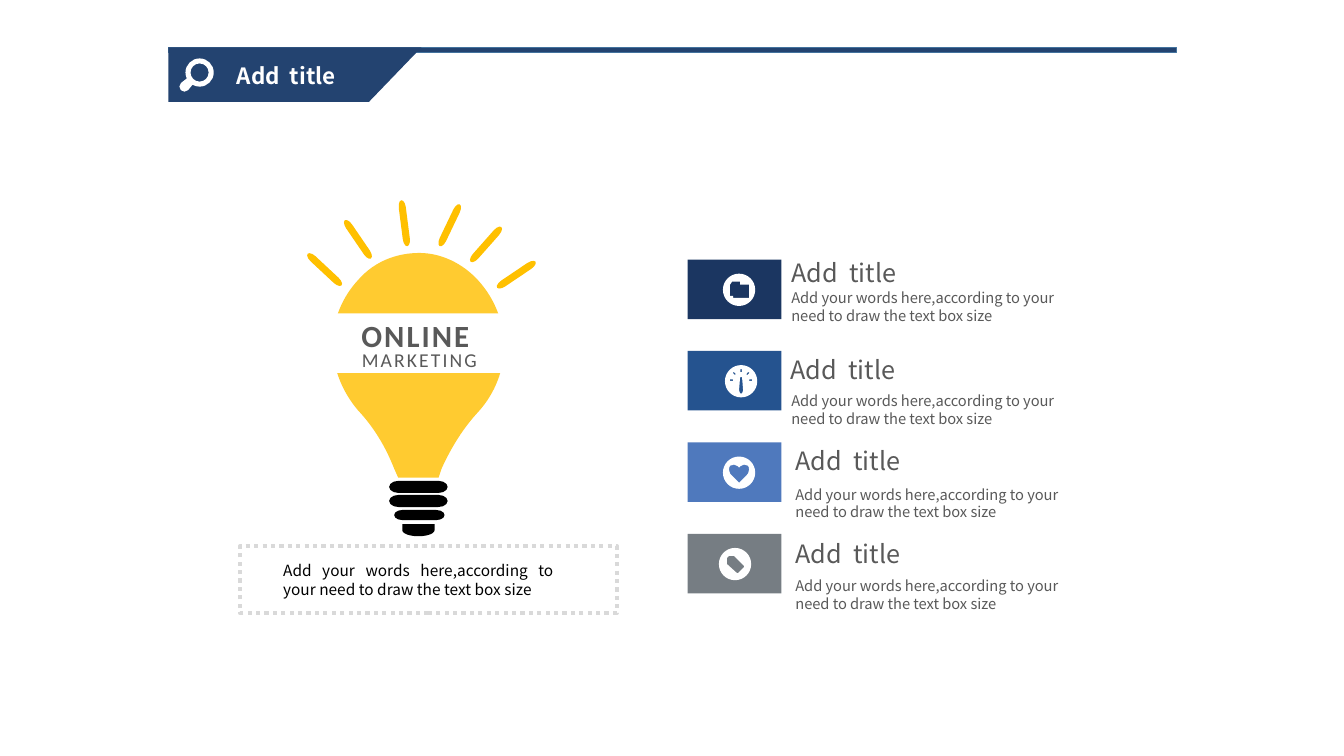
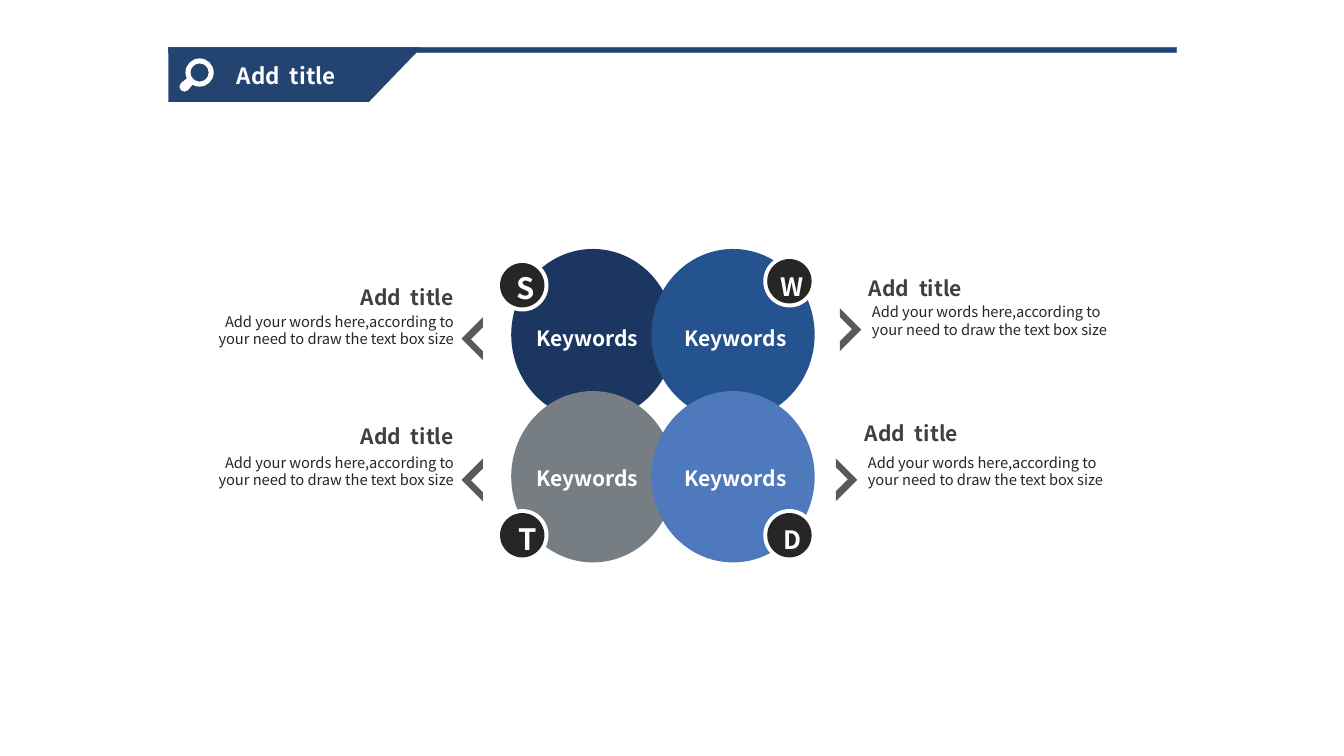
import math

import lxml.etree
import pptx
import pptx.dml.color
import pptx.enum.dml
import pptx.enum.shapes
import pptx.enum.text
import pptx.oxml.ns
import pptx.util

Inches = pptx.util.Inches
qn = pptx.oxml.ns.qn
SHAPE = pptx.enum.shapes.MSO_SHAPE
ALIGN = pptx.enum.text.PP_ALIGN
COLORS = {
    "banner": "234370", "banner_edge": "43739E", "navy": "1B3661",
    "blue": "25538F", "sky": "4F79BD", "gray": "767D83", "amber": "FFC000",
    "white": "FFFFFF", "black": "000000", "ink": "262626", "title": "404040",
    "soft": "595959", "dash": "D9D9D9",
}
SANS, LATIN = "Noto Sans CJK SC", "Calibri"
TITLE = "Add  title"
WORDS = "Add your words here,according to your need to draw the text box size"


def rgb(name):
    return pptx.dml.color.RGBColor.from_string(COLORS[name])


def paint(shape, fill, line=None, width=1):
    shape.shadow.inherit = False
    if fill:
        shape.fill.solid()
        shape.fill.fore_color.rgb = rgb(fill)
    else:
        shape.fill.background()
    if line:
        shape.line.color.rgb = rgb(line)
        shape.line.width = pptx.util.Pt(width)
    else:
        shape.line.fill.background()
    return shape


def add_shape(slide, kind, box, fill, line=None, width=1, rotation=0):
    shape = slide.shapes.add_shape(kind, *map(Inches, box))
    shape.rotation = rotation
    return paint(shape, fill, line, width)


def add_text(slide, text, box, size, color, align=ALIGN.LEFT, bold=False,
             font=SANS, tracking=0):
    frame = slide.shapes.add_textbox(*map(Inches, box)).text_frame
    frame.word_wrap = True
    frame.auto_size = pptx.enum.text.MSO_AUTO_SIZE.SHAPE_TO_FIT_TEXT
    paragraph = frame.paragraphs[0]
    paragraph.alignment = align
    run = paragraph.add_run()
    run.text = text
    style = {"name": font, "size": pptx.util.Pt(size), "bold": bold}
    for key, value in style.items():
        setattr(run.font, key, value)
    run.font.color.rgb = rgb(color)
    properties = run._r.get_or_add_rPr()
    if tracking:
        properties.set("spc", str(int(tracking * 100)))
    lxml.etree.SubElement(properties, qn("a:ea")).set("typeface", font)


def arc(x, y, radius, start=0, end=360):
    """A start point and cubic curves along an arc, split at right angles."""
    stops = [start] + [a for a in range(0, end, 90) if a > start] + [end]
    segments = [(x + radius * math.cos(math.radians(start)),
                 y + radius * math.sin(math.radians(start)))]
    for first, last in zip(stops, stops[1:]):
        a, b = math.radians(first), math.radians(last)
        pull = radius * 4 / 3 * math.tan((b - a) / 4)
        x0, y0 = segments[-1][-2:]
        x1, y1 = x + radius * math.cos(b), y + radius * math.sin(b)
        segments.append((x0 - pull * math.sin(a), y0 + pull * math.cos(a),
                         x1 + pull * math.sin(b), y1 - pull * math.cos(b), x1, y1))
    return segments


def add_outline(slide, contours, origin, fill):
    """One freeform of lines (2 numbers) and cubic curves (6 numbers).

    Inner contours become holes.
    """
    left, top = origin
    builder = None
    for contour in contours:
        points = [(Inches(left + segment[i]), Inches(top + segment[i + 1]))
                  for segment in contour for i in range(0, len(segment), 2)]
        if builder is None:
            builder = slide.shapes.build_freeform(*points[0])
        else:
            builder.move_to(*points[0])
        builder.add_line_segments(points[1:], close=True)
    shape = builder.convert_to_shape()
    # Join each three control points into one curve
    steps = iter(list(shape._element.iter(qn("a:lnTo"))))
    for segment in (s for contour in contours for s in contour[1:]):
        step = next(steps)
        if len(segment) == 6:
            step.tag_curve = None
            bezier = lxml.etree.Element(qn("a:cubicBezTo"))
            step.addprevious(bezier)
            for part in (step, next(steps), next(steps)):
                bezier.append(part[0])
                part.getparent().remove(part)
    return paint(shape, fill)


# Glyphs, in inches from the icon centre
FOLDER = [[(0.1, 0.08), (-0.06, 0.08), (-0.06, 0.06), (-0.09, 0.06),
           (-0.09, -0.05), (-0.07, -0.08), (0.01, -0.08), (0.01, -0.05),
           (0.1, -0.05)]]
NEEDLE = [(-0.01, -0.04), (0.01, -0.04), (0.02, 0.09), (0.01, 0.12),
          (-0.01, 0.12), (-0.02, 0.09)]
GAUGE = [NEEDLE] + [
    [(r * math.cos(math.radians(a)), r * math.sin(math.radians(a)) - 0.01)
     for r, a in ((0.08, mid - 5), (0.08, mid + 5), (0.11, mid + 4), (0.11, mid - 4))]
    for mid in range(180, 361, 45)]
HEART = [[(0, 0.1), (-0.08, 0.02), (-0.08, 0.02, -0.1, 0, -0.1, -0.03),
          (-0.1, -0.07, -0.08, -0.08, -0.05, -0.08),
          (-0.02, -0.08, 0, -0.05, 0, -0.05),
          (0, -0.05, 0.02, -0.08, 0.05, -0.08),
          (0.08, -0.08, 0.1, -0.07, 0.1, -0.03),
          (0.1, 0, 0.08, 0.02, 0.08, 0.02)]]
TAG = [[(0.09, 0.03), (0.03, 0.09), (0.02, 0.09), (-0.08, 0), (-0.08, -0.06),
        (-0.06, -0.08), (-0.01, -0.08), (0.09, 0.02)]]


def add_header(slide, left, top):
    # Rule and slanted tab
    add_shape(slide, SHAPE.RECTANGLE, (left, top, 10, 0.05), "banner", "banner_edge")
    tab = [(0, 0), (2.51, 0), (1.99, 0.54), (0, 0.54)]
    add_outline(slide, [tab], (left, top), "banner")
    # Magnifier: lens edge, rounded handle, hole
    lens = arc(0.31, 0.25, 0.14, 155, 480) + arc(0.16, 0.39, 0.05, 45, 225)
    add_outline(slide, [lens, arc(0.31, 0.25, 0.09)], (left, top), "white")
    add_text(slide, TITLE, (left + 0.58, top + 0.1, 1.35, 0.37), 16, "white",
             ALIGN.JUSTIFY, bold=True)


def add_bulb(slide, left, top):
    # Screw base
    for x, y, width, height in ((0.92, 2.88, 0.5, 0.1), (0.87, 2.73, 0.58, 0.12),
                                (0.87, 2.59, 0.58, 0.12)):
        add_shape(slide, SHAPE.FLOWCHART_TERMINATOR,
                  (left + x, top + y, width, height), "black")
    add_shape(slide, SHAPE.FLOWCHART_DELAY, (left + 1.1, top + 2.92, 0.12, 0.32),
              "black", rotation=90)
    # Glass
    glass = [(1.17, 0.33), (1.38, 0.33, 1.6, 0.43, 1.76, 0.61),
             (1.92, 0.79, 2.01, 1.02, 2.01, 1.26),
             (2.01, 1.49, 1.92, 1.72, 1.76, 1.9),
             (1.61, 2.06, 1.49, 2.25, 1.39, 2.47), (1.36, 2.56),
             (0.96, 2.56), (0.92, 2.47),
             (0.83, 2.24, 0.71, 2.05, 0.56, 1.89),
             (0.4, 1.7, 0.31, 1.47, 0.31, 1.23),
             (0.31, 1, 0.4, 0.77, 0.57, 0.59),
             (0.73, 0.41, 0.95, 0.33, 1.17, 0.33)]
    bulb = add_outline(slide, [glass], (left, top), "amber")
    color = bulb._element.spPr.find(".//" + qn("a:srgbClr"))
    lxml.etree.SubElement(color, qn("a:alpha")).set("val", "81000")
    # Label across the glass
    add_shape(slide, SHAPE.RECTANGLE, (left + 0.09, top + 0.93, 2.16, 0.59), "white")
    add_text(slide, "ONLINE ", (left + 0.37, top + 0.91, 1.61, 0.47), 22, "soft",
             ALIGN.CENTER, True, LATIN, 1.5)
    add_text(slide, "MARKETING", (left + 0.34, top + 1.22, 1.66, 0.34), 14, "soft",
             ALIGN.CENTER, False, LATIN, 1.5)
    # Rays
    for x, y, angle in ((0, 0.46, 43), (0.33, 0.16, 55.7), (0.79, 0, 82.7),
                        (1.24, 0.02, 115.6), (1.6, 0.21, 131.5), (1.9, 0.51, 146)):
        add_shape(slide, SHAPE.FLOWCHART_TERMINATOR,
                  (left + x, top + y, 0.46, 0.07), "amber", rotation=angle)


def add_caption(slide, left, top):
    frame = add_shape(slide, SHAPE.RECTANGLE, (left, top, 3.74, 0.66), None, "dash", 3)
    frame.line.dash_style = pptx.enum.dml.MSO_LINE.ROUND_DOT
    add_text(slide, WORDS, (left + 0.33, top + 0.1, 2.88, 0.47), 11, "black",
             ALIGN.JUSTIFY)


def add_item(slide, left, top, color, glyph, icon_x, title_x, title_y, words_x, words_y):
    add_shape(slide, SHAPE.RECTANGLE, (left, top, 0.93, 0.59), color)
    add_outline(slide, [arc(0, 0, 0.16)] + glyph, (left + icon_x, top + 0.3), "white")
    add_text(slide, TITLE, (left + title_x, top + title_y, 1.54, 0.4), 18, "soft")
    add_text(slide, WORDS, (left + words_x, top + words_y, 2.88, 0.45), 10.5, "soft")


def add_circle(slide, left, top, color, label_x, label_y):
    add_shape(slide, SHAPE.OVAL, (left, top, 1.62, 1.7), color)
    return left + label_x, top + label_y


def add_badge(slide, left, top, letter, size, dx, dy):
    for inset, color in ((0, "white"), (0.04, "ink")):
        side = 0.52 - 2 * inset
        add_shape(slide, SHAPE.OVAL, (left + inset, top + inset, side, side), color)
    add_text(slide, letter, (left + dx, top + dy, 0.28, 0.45), size, "white", bold=True)


def add_note(slide, left, top, on_left, title_x, title_y):
    """Chevron at (left, top), with its text on the outer side."""
    chevron = add_shape(slide, SHAPE.HALF_FRAME, (left, top, 0.3, 0.3), "soft",
                        rotation=315 if on_left else 135)
    chevron.adjustments[0], chevron.adjustments[1] = 0.233, 0.207
    words_x, align = (-2.75, ALIGN.RIGHT) if on_left else (0.37, ALIGN.LEFT)
    add_text(slide, WORDS, (left + words_x, top - 0.16, 2.71, 0.45), 10.5, "ink", align)
    add_text(slide, TITLE, (left + title_x, top + title_y, 1.25, 0.35), 15, "title",
             bold=True)


def build_idea_slide(slide):
    add_header(slide, 1.67, 0.47)
    add_bulb(slide, 2.99, 2.18)
    add_caption(slide, 2.38, 5.42)
    items = (("navy", FOLDER, 0.51, 0.93, -0.07, 0.93, 0.24),
             ("blue", GAUGE, 0.53, 0.92, -0.02, 0.93, 0.36),
             ("sky", HEART, 0.51, 0.97, -0.02, 0.97, 0.38),
             ("gray", TAG, 0.47, 0.97, 0, 0.97, 0.38))
    for row, item in enumerate(items):
        add_item(slide, 6.82, 2.575 + 0.907 * row, *item)


def build_keywords_slide(slide):
    add_header(slide, 1.67, 0.47)
    # Overlapping circles, labels above them all
    labels = [add_circle(slide, 5.07 + 1.39 * (i % 2), 2.47 + 1.41 * (i // 2), color,
                         (0.15, 0.23)[i % 2], (0.71, 0.69)[i // 2])
              for i, color in enumerate(("navy", "blue", "gray", "sky"))]
    for badge in ((4.92, 2.57, "S", 21, 0.1, 0.06), (7.57, 2.53, "W", 18, 0.07, 0.11),
                  (4.92, 5.05, "T", 21, 0.12, 0.07), (7.57, 5.05, "D", 18, 0.1, 0.1)):
        add_badge(slide, *badge)
    for x, y in labels:
        add_text(slide, "Keywords", (x, y, 1.23, 0.35), 15, "white", bold=True)
    # Side notes
    for note in ((4.64, 3.21, True, -1.16, -0.44), (4.64, 4.61, True, -1.16, -0.46),
                 (8.18, 3.12, False, 0.34, -0.44), (8.14, 4.61, False, 0.34, -0.49)):
        add_note(slide, *note)


def main():
    deck = pptx.Presentation()
    deck.slide_width, deck.slide_height = Inches(13.33), Inches(7.5)
    for build in (build_idea_slide, build_keywords_slide):
        build(deck.slides.add_slide(deck.slide_layouts[6]))
    deck.save("out.pptx")


if __name__ == "__main__":
    main()
